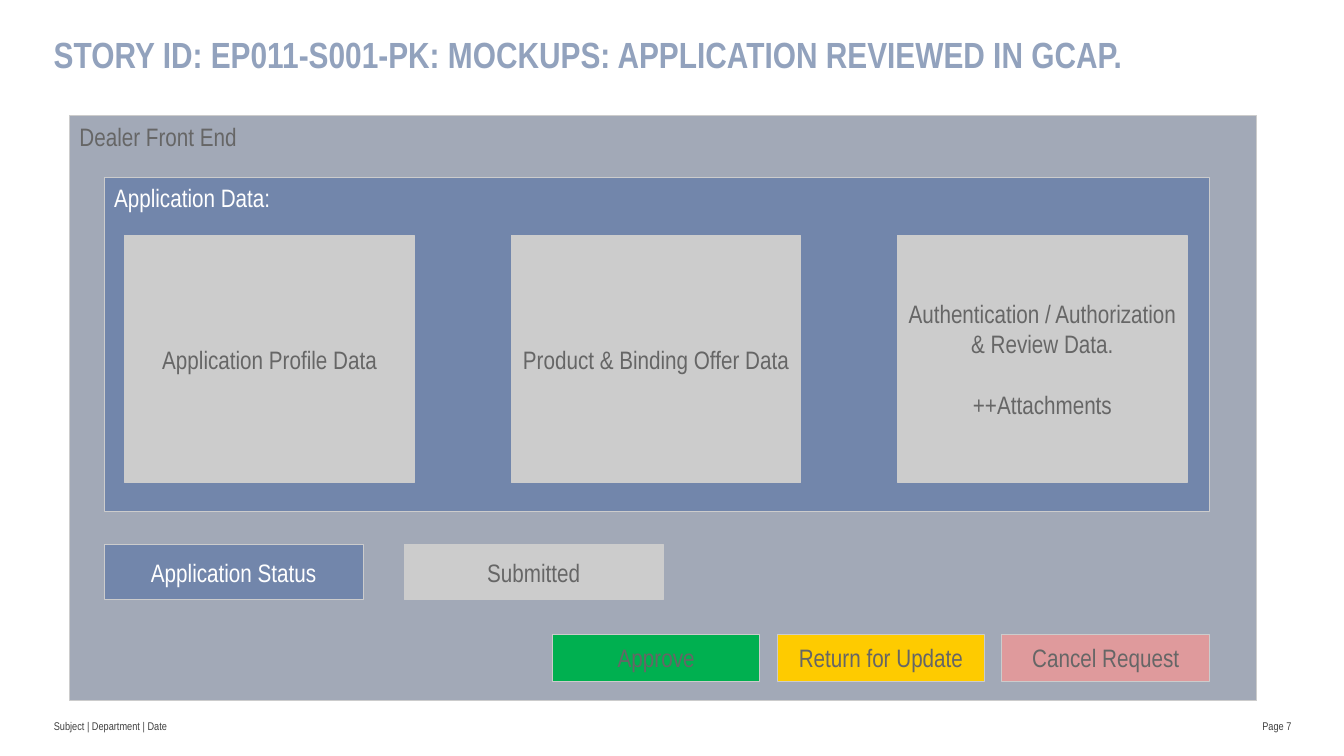
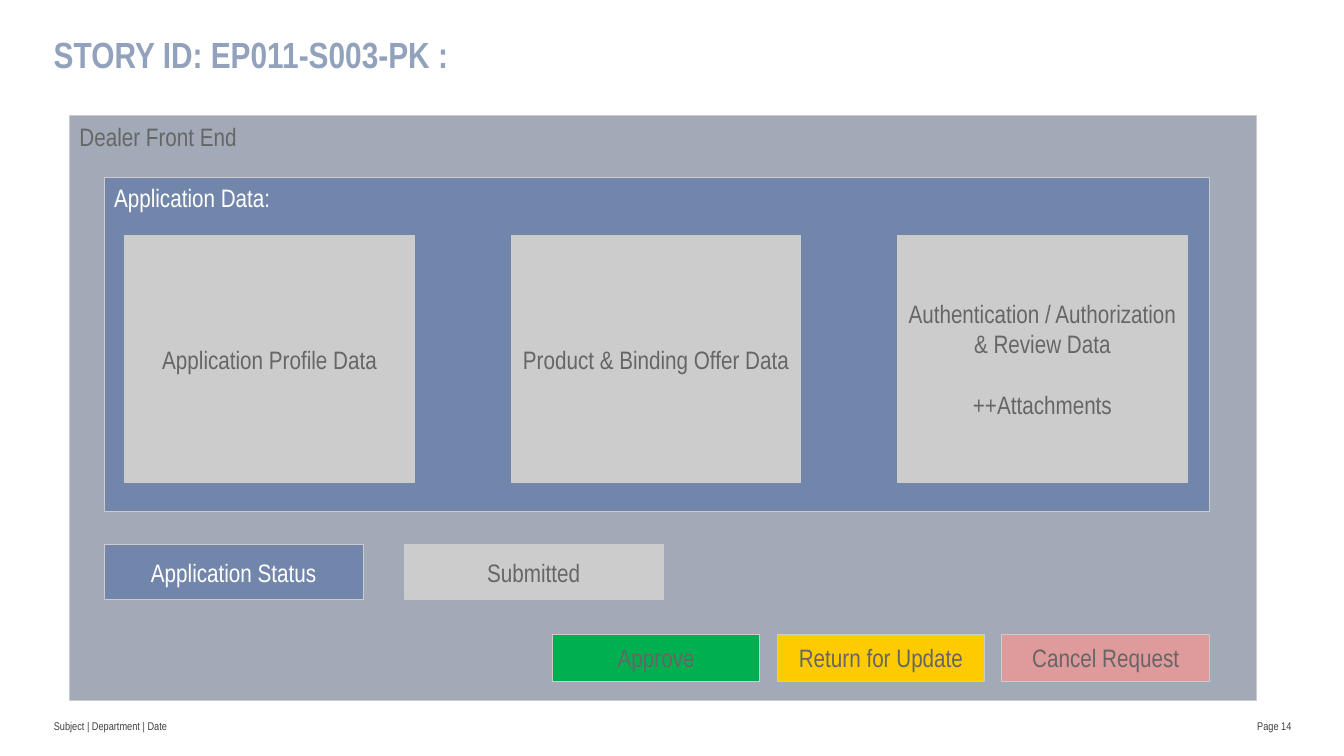
from dataclasses import dataclass

from pptx import Presentation
from pptx.dml.color import RGBColor as Rgb
from pptx.enum.shapes import MSO_SHAPE as Shape
from pptx.enum.text import MSO_ANCHOR as Anchor, PP_ALIGN as Align
from pptx.util import Inches, Pt

COLUMNS, ROWS = 40, 30


@dataclass(frozen=True)
class Theme:
    font: str = "Arial Narrow"
    title: str = "92A2BD"
    footer: str = "404040"
    text: str = "666666"
    light_text: str = "FFFFFF"
    window: str = "A2A9B7"
    panel: str = "7286AB"
    field: str = "CCCCCC"
    border: str = "CCCCCC"
    approve: str = "00B050"
    update: str = "FECB00"
    cancel: str = "DF9A9C"
    title_size: int = 26
    body_size: int = 18
    footer_size: int = 8
    title_leading: int = 27
    paragraph_gap: int = 22
    border_width: float = 0.75


class MockupDeck:
    """Draws on the current slide; every box is (left, top, width, height) in grid cells."""

    def __init__(self, theme):
        self.theme = theme
        self.deck = Presentation()
        self.deck.slide_width, self.deck.slide_height = Inches(13.333), Inches(7.5)
        self.slide = None

    def place(self, box):
        column = self.deck.slide_width / COLUMNS
        row = self.deck.slide_height / ROWS
        return [round(cells * unit) for cells, unit in zip(box, (column, row) * 2)]

    def set_text(self, frame, text, size, color, align=Align.LEFT, bold=False):
        frame.word_wrap = True
        frame.text = text
        for paragraph in frame.paragraphs:
            paragraph.alignment = align
            font = paragraph.font
            font.name, font.size, font.bold = self.theme.font, Pt(size), bold
            font.color.rgb = Rgb.from_string(color)
        for paragraph in frame.paragraphs[1:]:
            paragraph.space_before = Pt(self.theme.paragraph_gap)

    def label(self, box, text, size, color, anchor=Anchor.MIDDLE, **style):
        frame = self.slide.shapes.add_textbox(*self.place(box)).text_frame
        frame.margin_left = frame.margin_right = 0
        frame.margin_top = frame.margin_bottom = 0
        frame.vertical_anchor = anchor
        self.set_text(frame, text, size, color, **style)
        return frame

    def block(self, box, text, fill, color=None, anchor=Anchor.MIDDLE, align=Align.CENTER):
        theme = self.theme
        block = self.slide.shapes.add_shape(Shape.RECTANGLE, *self.place(box))
        block.shadow.inherit = False
        block.fill.solid()
        block.fill.fore_color.rgb = Rgb.from_string(fill)
        block.line.color.rgb = Rgb.from_string(theme.border)
        block.line.width = Pt(theme.border_width)
        block.text_frame.vertical_anchor = anchor
        self.set_text(block.text_frame, text, theme.body_size, color or theme.text, align)

    def container(self, box, heading, fill, color=None):
        self.block(box, heading, fill, color, Anchor.TOP, Align.LEFT)

    def block_row(self, first_box, pitch, blocks):
        """Places (text, fill, color) blocks at an equal pitch from the first box."""
        left, *rest = first_box
        for index, block in enumerate(blocks):
            self.block((left + index * pitch, *rest), *block)

    def start_slide(self, title, page):
        theme = self.theme
        self.slide = self.deck.slides.add_slide(self.deck.slide_layouts[6])
        heading = self.label((1.6, 1.5, 36.84, 3.1), title, theme.title_size,
                             theme.title, Anchor.TOP, bold=True)
        heading.paragraphs[0].line_spacing = Pt(theme.title_leading)
        self.label((1.6, 28.1, 32.3, 1.45), "Subject | Department | Date",
                   theme.footer_size, theme.footer)
        self.label((34.74, 28.1, 3.7, 1.45), f"Page {page}",
                   theme.footer_size, theme.footer, align=Align.RIGHT)

    def review_screen(self, title, page, review_data):
        theme = self.theme
        self.start_slide(title, page)
        self.container((2.07, 4.6, 35.34, 23.2), "Dealer Front End", theme.window)
        self.container((3.1, 7.05, 32.9, 13.25), "Application Data:",
                       theme.panel, theme.light_text)
        data_fields = ("Application Profile Data", "Product & Binding Offer Data",
                       f"{review_data}\n++Attachments")
        self.block_row((3.72, 9.35, 8.61, 9.8), 11.5,
                       [(field, theme.field) for field in data_fields])
        self.block_row((3.1, 21.6, 7.71, 2.2), 8.93, [
            ("Application Status", theme.panel, theme.light_text),
            ("Submitted", theme.field),
        ])
        self.block_row((16.44, 25.18, 6.18, 1.85), 6.69, [
            ("Approve", theme.approve),
            ("Return for Update", theme.update),
            ("Cancel Request", theme.cancel),
        ])


def main():
    mockups = MockupDeck(Theme())
    mockups.review_screen(
        "STORY ID: EP011-S001-PK: MOCKUPS: APPLICATION REVIEWED IN GCAP.", 7,
        "Authentication / Authorization & Review Data.")
    mockups.review_screen(
        "STORY ID: EP011-S003-PK :", 14,
        "Authentication / Authorization & Review Data")
    mockups.deck.save("out.pptx")


if __name__ == "__main__":
    main()
